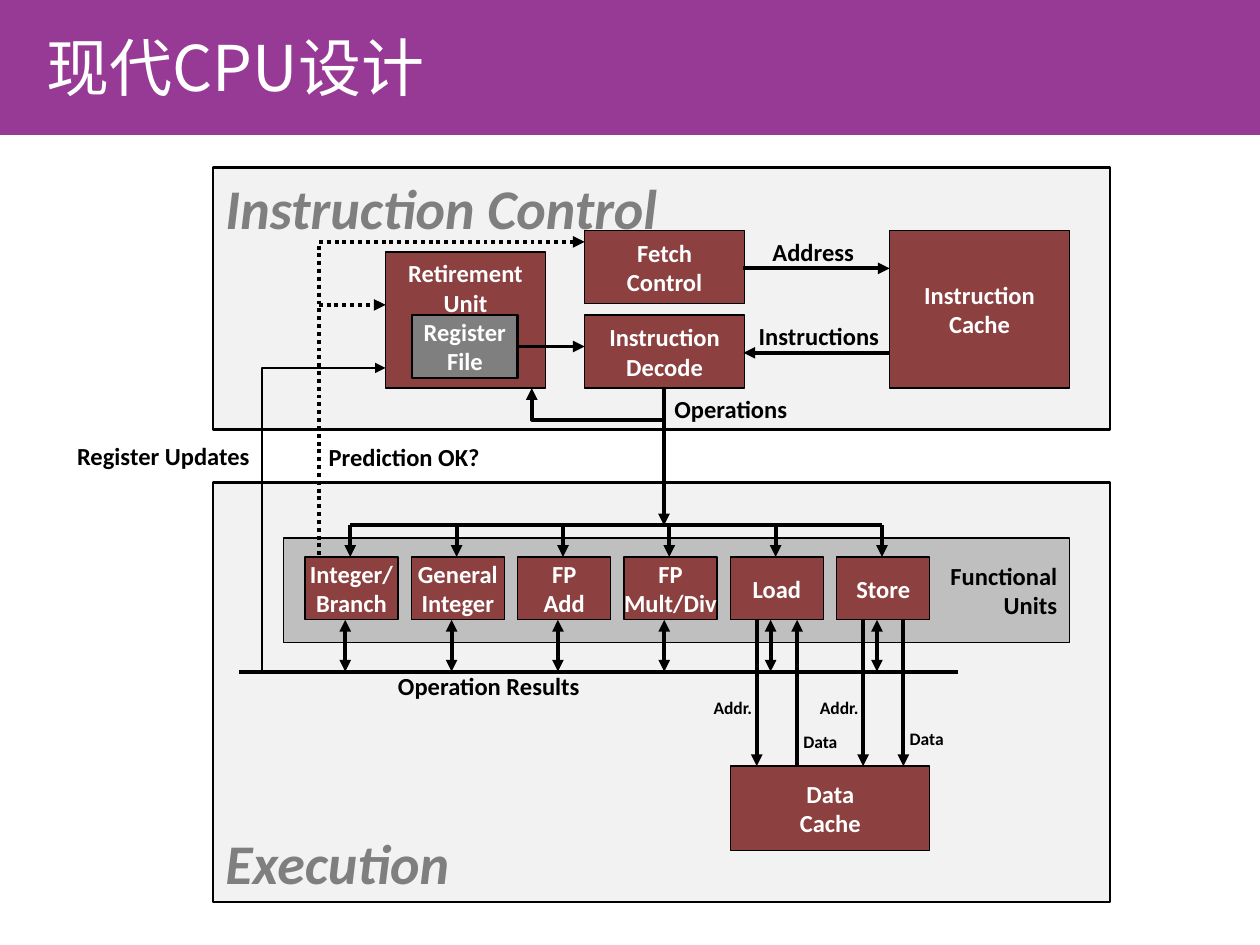
from lxml import etree
from pptx import Presentation
from pptx.dml.color import RGBColor
from pptx.enum.dml import MSO_LINE
from pptx.enum.shapes import MSO_CONNECTOR, MSO_SHAPE
from pptx.enum.text import MSO_ANCHOR, MSO_AUTO_SIZE, PP_ALIGN
from pptx.oxml.ns import qn
from pptx.util import Inches, Pt

LEFT, CENTER, RIGHT = PP_ALIGN.LEFT, PP_ALIGN.CENTER, PP_ALIGN.RIGHT
TOP, MIDDLE, BOTTOM = MSO_ANCHOR.TOP, MSO_ANCHOR.MIDDLE, MSO_ANCHOR.BOTTOM

THEME = {
    "banner": "973A95", "panel": "F2F2F2", "strip": "BFBFBF", "unit": "8C4040",
    "gray": "7F7F7F", "ink": "000000", "white": "FFFFFF",
    "title_font": "Noto Sans CJK SC", "body_font": "Calibri",
    "title_size": 36, "panel_size": 32, "body_size": 14, "small_size": 10,
    "thin": 0.75, "medium": 1.5, "thick": 2.25,
}

# ---- Content ----
TITLE = "现代CPU设计"
UNITS = ["Integer/\nBranch", "General\nInteger", "FP\nAdd", "FP\nMult/Div", "Load", "Store"]

# Panels: text, (left, top, width, height), fill, border, anchor, align, text format
HEADING = {"size": THEME["panel_size"], "color": THEME["gray"], "italic": True}
PANELS = [
    ("Execution", (1.69, 3.83, 7.12, 3.33), "panel", "medium", BOTTOM, LEFT, HEADING),
    ("Functional\nUnits", (2.25, 4.27, 6.24, 0.83), "strip", "thin", MIDDLE, RIGHT, {}),
    ("Instruction Control", (1.69, 1.33, 7.12, 2.08), "panel", "medium", TOP, LEFT, HEADING),
]
# Boxes: text, place, fill, anchor
BOXES = [
    ("Instruction\nCache", (7.06, 1.83, 1.43, 1.25), "unit", MIDDLE),
    ("Data\nCache", (5.8, 6.08, 1.58, 0.67), "unit", MIDDLE),
    ("Fetch\nControl", (4.64, 1.83, 1.27, 0.58), "unit", MIDDLE),
    ("Instruction\nDecode", (4.64, 2.5, 1.27, 0.58), "unit", MIDDLE),
    ("Retirement\nUnit", (3.06, 2, 1.27, 1.08), "unit", TOP),
    ("Register\nFile", (3.27, 2.5, 0.84, 0.5), "gray", MIDDLE),
]
# Labels: text, place, align
LABELS = [
    ("Address", (6.03, 1.83, 0.85, 0.34), CENTER),
    ("Instructions", (5.92, 2.5, 1.16, 0.34), CENTER),
    ("Operations", (5.25, 3.08, 1.1, 0.34), CENTER),
    ("Prediction OK?", (2.51, 3.46, 1.4, 0.34), LEFT),
    ("Operation Results", (3.06, 5.28, 1.65, 0.34), LEFT),
    ("Register Updates", (0.5, 3.45, 1.58, 0.34), RIGHT),
]
# Functional unit grid and the two buses around it
UNIT_LEFT, UNIT_TOP, UNIT_W, UNIT_H = 2.42, 4.42, 0.74, 0.5
UNIT_BOTTOM = UNIT_TOP + UNIT_H
PITCH = (6.64 - UNIT_LEFT) / (len(UNITS) - 1)
UNIT_XS = [UNIT_LEFT + i * PITCH for i in range(len(UNITS))]
BUS_Y, RESULT_Y, CACHE_TOP = 4.17, 5.33, 6.08
BUS_DX, RESULT_DX, ADDR_DX, DATA_DX = 0.36, 0.32, 0.21, 0.53

# Straight links: from, to, options
LINKS = [
    ((5.9, 2.13), (7.06, 2.13), {"tail": True}),
    ((7.06, 2.8), (5.9, 2.8), {"tail": True}),
    ((5.27, 3.08), (5.27, BUS_Y), {"tail": True}),
    ((4.11, 2.75), (4.64, 2.75), {"tail": True}),
    ((2.53, 2.42), (3.06, 2.42), {"tail": True, "dotted": True}),
    ((UNIT_XS[0] + BUS_DX, BUS_Y), (UNIT_XS[-1] + BUS_DX, BUS_Y), {}),
    ((1.9, RESULT_Y), (7.6, RESULT_Y), {}),
]
# Bent links: points, options
BENT_LINKS = [
    ([(4.64, 1.92), (2.53, 1.92), (2.53, UNIT_TOP)], {"head": True, "dotted": True}),
    ([(3.06, 2.92), (2.08, 2.92), (2.08, RESULT_Y)], {"head": True, "weight": "medium"}),
    ([(5.27, 3.33), (4.22, 3.33), (4.22, 3.08)], {"tail": True}),
]


# ---- Helpers ----
def rgb(name):
    return RGBColor.from_string(THEME[name])


def write(frame, text, align, anchor, formats):
    values = {"name": THEME["body_font"], "size": THEME["body_size"],
              "color": THEME["ink"], "bold": True, **formats}
    frame.word_wrap = False
    frame.vertical_anchor = anchor
    for i, line in enumerate(text.split("\n")):
        paragraph = frame.add_paragraph() if i else frame.paragraphs[0]
        paragraph.alignment = align
        run = paragraph.add_run()
        run.text = line
        for key, value in values.items():
            if key == "color":
                run.font.color.rgb = RGBColor.from_string(value)
            else:
                setattr(run.font, key, Pt(value) if key == "size" else value)


def add_box(slide, place, fill, border=None):
    box = slide.shapes.add_shape(MSO_SHAPE.RECTANGLE, *map(Inches, place))
    box.shadow.inherit = False
    box.fill.solid()
    box.fill.fore_color.rgb = rgb(fill)
    if border:
        box.line.color.rgb = rgb("ink")
        box.line.width = Pt(THEME[border])
    else:
        box.line.fill.background()
    return box


def add_label(slide, text, place, align, formats):
    frame = slide.shapes.add_textbox(*map(Inches, place)).text_frame
    write(frame, text, align, TOP, formats)
    frame.auto_size = MSO_AUTO_SIZE.SHAPE_TO_FIT_TEXT


def style_link(link, head=False, tail=False, dotted=False, weight="thick"):
    link.line.color.rgb = rgb("ink")
    link.line.width = Pt(THEME[weight])
    if dotted:
        link.line.dash_style = MSO_LINE.ROUND_DOT
    properties = link._element.spPr
    outline = properties.find(qn("a:ln"))
    for tag, wanted in (("a:headEnd", head), ("a:tailEnd", tail)):
        if wanted:
            etree.SubElement(outline, qn(tag), type="triangle")
    etree.SubElement(properties, qn("a:effectLst"))


def add_link(slide, start, end, **options):
    ends = [Inches(v) for v in (*start, *end)]
    style_link(slide.shapes.add_connector(MSO_CONNECTOR.STRAIGHT, *ends), **options)


def add_bent_link(slide, points, **options):
    start, *rest = [(Inches(x), Inches(y)) for x, y in points]
    builder = slide.shapes.build_freeform(*start)
    builder.add_line_segments(rest, close=False)
    link = builder.convert_to_shape()
    link.fill.background()
    style_link(link, **options)


def add_title(slide):
    banner = add_box(slide, (0, -0.01, 10, 1.08), "banner")
    slide.shapes._spTree.insert(2, banner._element)
    title = slide.shapes.title
    places = {"left": 0.27, "top": 0.21, "width": 6.41, "height": 0.63}
    for key, value in places.items():
        setattr(title, key, Inches(value))
    write(title.text_frame, TITLE, LEFT, MIDDLE, {
        "name": THEME["title_font"], "size": THEME["title_size"],
        "color": THEME["white"], "bold": False})
    run = title.text_frame.paragraphs[0].runs[0]
    etree.SubElement(run._r.get_or_add_rPr(), qn("a:ea"), typeface=THEME["title_font"])


def main():
    deck = Presentation()
    deck.slide_width, deck.slide_height = Inches(10), Inches(7.5)
    slide = deck.slides.add_slide(deck.slide_layouts[5])
    add_title(slide)

    # Panels, then the boxes and functional units on them
    for text, place, fill, border, anchor, align, formats in PANELS:
        write(add_box(slide, place, fill, border).text_frame, text, align, anchor, formats)
    units = [(text, (x, UNIT_TOP, UNIT_W, UNIT_H), "unit", MIDDLE)
             for text, x in zip(UNITS, UNIT_XS)]
    for text, place, fill, anchor in BOXES + units:
        border = "medium" if fill == "gray" else "thin"
        write(add_box(slide, place, fill, border).text_frame, text, CENTER, anchor,
              {"color": THEME["white"]})

    # Links between the blocks
    for start, end, options in LINKS:
        add_link(slide, start, end, **options)
    for points, options in BENT_LINKS:
        add_bent_link(slide, points, **options)

    # Each unit takes operations from above and trades results below
    for x in UNIT_XS:
        add_link(slide, (x + BUS_DX, BUS_Y), (x + BUS_DX, UNIT_TOP), tail=True)
        add_link(slide, (x + RESULT_DX, UNIT_BOTTOM), (x + RESULT_DX, RESULT_Y),
                 head=True, tail=True)

    # Load and Store reach the data cache; loaded data flows upwards
    small = {"size": THEME["small_size"]}
    for x, loads, data_y in ((UNIT_XS[4], True, 5.75), (UNIT_XS[5], False, 5.73)):
        add_link(slide, (x + ADDR_DX, UNIT_BOTTOM), (x + ADDR_DX, CACHE_TOP), tail=True)
        add_link(slide, (x + DATA_DX, UNIT_BOTTOM), (x + DATA_DX, CACHE_TOP),
                 head=loads, tail=not loads)
        add_label(slide, "Addr.", (x - 0.24, 5.48, 0.52, 0.27), CENTER, small)
        add_label(slide, "Data", (x + 0.48, data_y, 0.47, 0.27), CENTER, small)

    for text, place, align in LABELS:
        add_label(slide, text, place, align, {})
    deck.save("out.pptx")


if __name__ == "__main__":
    main()
